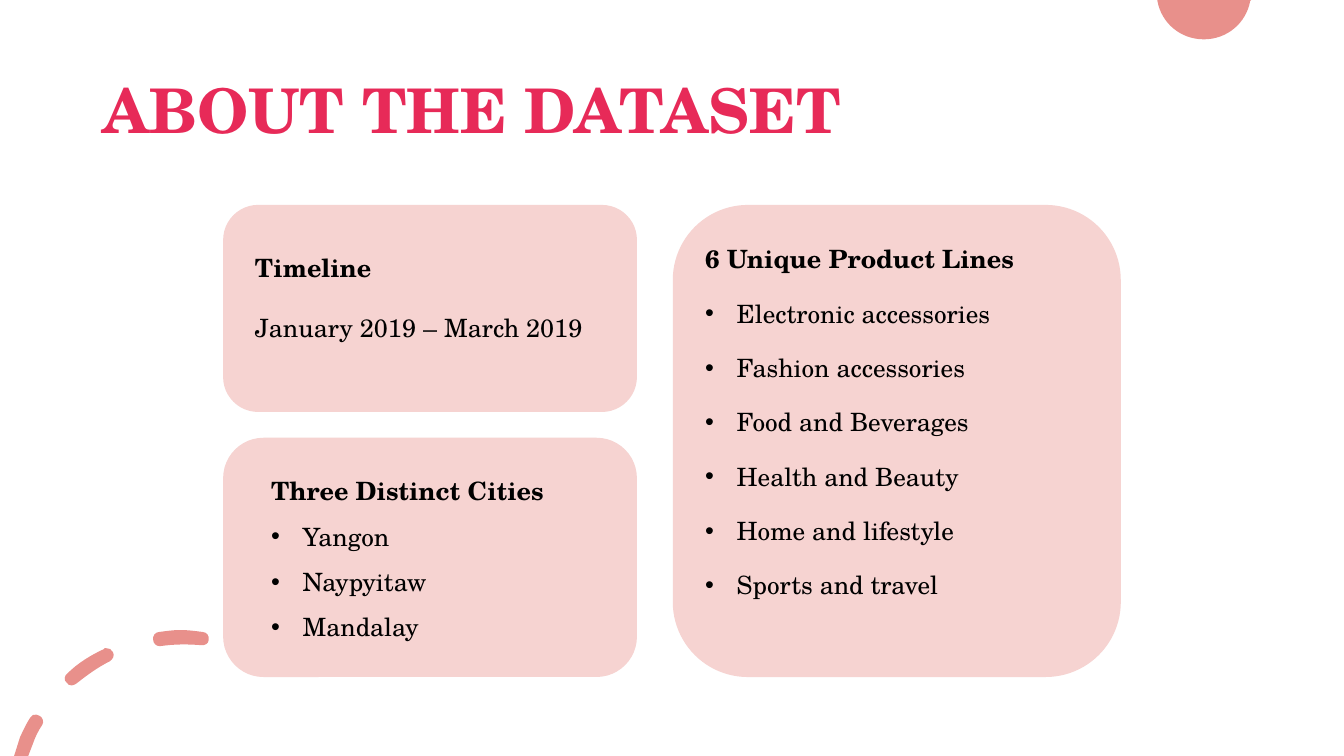
from dataclasses import dataclass

from lxml import etree
from pptx import Presentation
from pptx.dml.color import RGBColor
from pptx.enum import shapes, text
from pptx.oxml import ns
from pptx.util import Inches, Pt


@dataclass(frozen=True)
class Theme:
    font: str = "TeX Gyre Schola"
    title: str = "E72A58"
    ink: str = "000000"
    card: str = "F6D3D1"
    accent: str = "E8908B"
    title_size: int = 44
    body_size: int = 18


THEME = Theme()
INDENT = Pt(22.5)

# Two numbers are a straight edge, six a Bezier curve.
DISC = [[(11.48, 0), (12.41, 0), (12.4, 0.01),
         (12.36, 0.23, 12.17, 0.39, 11.94, 0.39),
         (11.71, 0.39, 11.52, 0.23, 11.48, 0.01)]]
DASHES = [
    [(0.36, 7.09), (0.34, 7.08, 0.31, 7.1, 0.3, 7.12),
     (0.26, 7.18, 0.23, 7.25, 0.2, 7.31), (0.14, 7.5), (0.28, 7.5),
     (0.33, 7.37), (0.35, 7.31, 0.38, 7.25, 0.42, 7.19),
     (0.44, 7.16, 0.42, 7.11, 0.39, 7.1), (0.38, 7.09, 0.37, 7.09, 0.36, 7.09)],
    [(1.05, 6.43), (1.04, 6.43, 1.03, 6.43, 1.03, 6.44),
     (0.9, 6.5, 0.77, 6.58, 0.67, 6.68), (0.64, 6.7, 0.63, 6.75, 0.66, 6.77),
     (0.67, 6.79, 0.69, 6.8, 0.71, 6.8), (0.73, 6.8, 0.74, 6.79, 0.76, 6.78),
     (0.86, 6.7, 0.97, 6.62, 1.09, 6.56), (1.12, 6.54, 1.14, 6.5, 1.12, 6.47),
     (1.11, 6.44, 1.08, 6.43, 1.05, 6.43)],
    [(1.79, 6.25), (1.72, 6.25, 1.65, 6.26, 1.58, 6.27),
     (1.54, 6.27, 1.51, 6.31, 1.52, 6.35), (1.52, 6.38, 1.55, 6.41, 1.58, 6.41),
     (1.59, 6.41, 1.59, 6.41, 1.59, 6.41),
     (1.73, 6.39, 1.86, 6.39, 1.99, 6.4), (2.03, 6.41, 2.07, 6.38, 2.07, 6.35),
     (2.08, 6.31, 2.05, 6.27, 2.01, 6.27), (1.94, 6.26, 1.86, 6.25, 1.79, 6.25)],
]


def rgb(value):
    return RGBColor.from_string(value)


def bend_edges(sp, edges):
    """Turn the straight edges that have control points into Bezier curves."""
    lines = list(sp._element.iter(ns.qn("a:lnTo")))
    for line, edge in zip(lines, edges):
        if len(edge) == 6:
            curve = etree.Element(ns.qn("a:cubicBezTo"))
            for x, y in zip(edge[::2], edge[1::2]):
                etree.SubElement(curve, ns.qn("a:pt"), x=str(Inches(x) - sp.left),
                                 y=str(Inches(y) - sp.top))
            line.getparent().replace(line, curve)


def add_ornament(s, outlines):
    builder = s.shapes.build_freeform(*map(Inches, outlines[0][0]))
    for i, outline in enumerate(outlines):
        ends = [tuple(map(Inches, edge[-2:])) for edge in outline]
        if i:
            builder.move_to(*ends[0])
        builder.add_line_segments(ends[1:])
    sp = builder.convert_to_shape()
    bend_edges(sp, [edge for outline in outlines
                    for edge in outline[1:] + closing_edge(outline)])
    sp.shadow.inherit = False
    sp.fill.solid()
    sp.fill.fore_color.rgb = rgb(THEME.accent)
    sp.line.fill.background()


def closing_edge(outline):
    """The builder adds a straight edge to an outline left open."""
    return [] if outline[-1][-2:] == outline[0] else [outline[0]]


def add_text(tf, words, size=THEME.body_size, color=THEME.ink, bold=False,
             spacing=None, after=0, bullet=False):
    """Write a paragraph, using the first one while it is still empty."""
    p = tf.paragraphs[0] if not tf.text else tf.add_paragraph()
    p.alignment = text.PP_ALIGN.LEFT
    p.space_before, p.space_after = Pt(0), Pt(after)
    if spacing:
        p.line_spacing = spacing
    if bullet:
        pPr = p._p.get_or_add_pPr()
        pPr.set("marL", str(INDENT))
        pPr.set("indent", str(-INDENT))
        etree.SubElement(pPr, ns.qn("a:buFont"), typeface="Arial")
        etree.SubElement(pPr, ns.qn("a:buChar"), char="•")
    r = p.add_run()
    r.text = words
    r.font.name, r.font.size, r.font.bold = THEME.font, Pt(size), bold
    r.font.color.rgb = rgb(color)


def add_title(s, words, x, y, w, h):
    sp = s.shapes.title
    sp.left, sp.top, sp.width, sp.height = map(Inches, (x, y, w, h))
    sp.text_frame.vertical_anchor = text.MSO_ANCHOR.MIDDLE
    add_text(sp.text_frame, words, size=THEME.title_size, color=THEME.title,
             bold=True, spacing=0.9)


def add_card(s, x, y, w, h):
    sp = s.shapes.add_shape(shapes.MSO_SHAPE.ROUNDED_RECTANGLE,
                            *map(Inches, (x, y, w, h)))
    sp.shadow.inherit = False
    sp.fill.solid()
    sp.fill.fore_color.rgb = rgb(THEME.card)
    sp.line.color.rgb = rgb(THEME.card)
    sp.line.width = Pt(1)
    return sp


def add_box(s, x, y, w, h):
    tf = s.shapes.add_textbox(*map(Inches, (x, y, w, h))).text_frame
    tf.word_wrap = True
    return tf


def add_list(tf, heading, items, after=0):
    add_text(tf, heading, bold=True, after=after)
    for item in items:
        add_text(tf, item, spacing=1.5, after=after, bullet=True)


def add_timeline(s, x, y, w, h):
    add_card(s, x, y, w, h)
    tf = add_box(s, x + 0.21, y + 0.41, 3.48, 1.01)
    add_text(tf, "Timeline", bold=True, after=21.5)
    add_text(tf, "January 2019 – March 2019")


def add_cities(s, x, y, w, h):
    add_card(s, x, y, w, h)
    tf = add_box(s, x + 0.37, y + 0.32, 3.28, 1.71)
    add_list(tf, "Three Distinct Cities", ["Yangon", "Naypyitaw", "Mandalay"])


def add_products(s, x, y, w, h):
    tf = add_card(s, x, y, w, h).text_frame
    tf.word_wrap = True
    tf.vertical_anchor = text.MSO_ANCHOR.TOP
    tf.margin_top = Inches(0.16)
    add_list(tf, "6 Unique Product Lines",
             ["Electronic accessories", "Fashion accessories",
              "Food and Beverages", "Health and Beauty",
              "Home and lifestyle", "Sports and travel"], after=6.4)


def main():
    prs = Presentation()
    prs.slide_width, prs.slide_height = Inches(13.33), Inches(7.5)
    s = prs.slides.add_slide(prs.slide_layouts[5])
    add_ornament(s, DISC)
    add_ornament(s, DASHES)
    add_title(s, "ABOUT THE DATASET", 0.92, 0.4, 11.5, 1.45)
    add_timeline(s, 2.22, 2.04, 4.09, 2.04)
    add_cities(s, 2.22, 4.35, 4.09, 2.36)
    add_products(s, 6.68, 2.04, 4.43, 4.67)
    prs.save("out.pptx")


if __name__ == "__main__":
    main()
